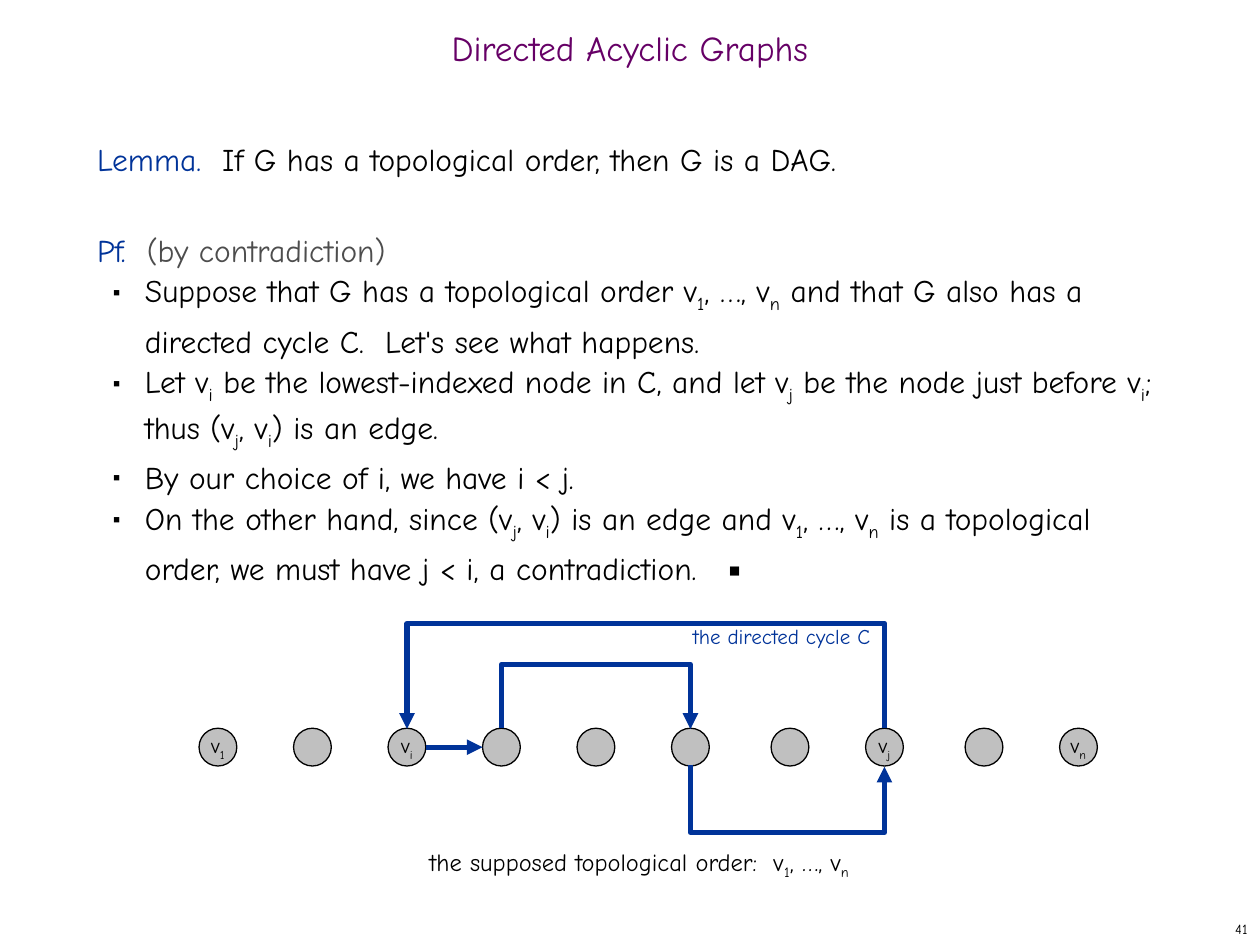
import dataclasses

import pptx
import pptx.dml.color
import pptx.enum.shapes
import pptx.enum.text
import pptx.oxml
import pptx.oxml.ns
import pptx.util

Inches = pptx.util.Inches
Pt = pptx.util.Pt
Color = pptx.dml.color.RGBColor.from_string
Align = pptx.enum.text.PP_ALIGN
Anchor = pptx.enum.text.MSO_ANCHOR
Connector = pptx.enum.shapes.MSO_CONNECTOR


@dataclasses.dataclass(frozen=True)
class Theme:
    font: str = "Comic Neue"
    title: str = "660066"
    accent: str = "003399"
    text: str = "000000"
    muted: str = "4D4D4D"
    node: str = "C0C0C0"
    title_size: int = 20
    body_size: int = 18
    caption_size: int = 14
    label_size: int = 12
    number_size: int = 8


theme = Theme()


def write(para, text, size=theme.body_size, color=theme.text):
    """Add text to a paragraph; the character after each _ is a subscript."""
    first, *rest = text.split("_")
    pieces = [(first, False)]
    for part in rest:
        pieces += [(part[0], True), (part[1:], False)]
    for words, subscript in pieces:
        if not words:
            continue
        span = para.add_run()
        span.text = words
        span.font.name = theme.font
        span.font.size = Pt(size)
        span.font.color.rgb = Color(color)
        if subscript:
            span.font._element.set("baseline", "-25000")


def add_xml(parent, tag, **attributes):
    child = pptx.oxml.parse_xml(f"<a:{tag} {pptx.oxml.ns.nsdecls('a')}/>")
    for name, value in attributes.items():
        child.set(name, str(value))
    parent.append(child)
    return child


deck = pptx.Presentation()
deck.slide_width, deck.slide_height = Inches(10), Inches(7.5)
page = deck.slides.add_slide(deck.slide_layouts[1])

# Title
title = page.shapes.title
title.left, title.top, title.width, title.height = (
    Inches(0), Inches(0.17), Inches(10), Inches(0.5))
title.text_frame.vertical_anchor = Anchor.MIDDLE
title.text_frame.auto_size = pptx.enum.text.MSO_AUTO_SIZE.NONE
para = title.text_frame.paragraphs[0]
para.alignment = Align.CENTER
para.line_spacing = 0.7
write(para, "Directed Acyclic Graphs", size=theme.title_size, color=theme.title)

# Lemma and proof: level, space before, coloured pieces
body = page.placeholders[1]
body.left, body.top, body.width, body.height = (
    Inches(0.67), Inches(1), Inches(8.58), Inches(5.92))
body.text_frame.auto_size = pptx.enum.text.MSO_AUTO_SIZE.NONE
proof = [
    (0, 0, [("Lemma.  ", theme.accent),
            ("If G has a topological order, then G is a DAG.", theme.text)]),
    (0, 26, [("Pf.  ", theme.accent), ("(by contradiction)", theme.muted)]),
]
steps = [
    "Suppose that G has a topological order v_1, …, v_n and that G also has a "
    "directed cycle C.  Let's see what happens.",
    "Let v_i be the lowest-indexed node in C, and let v_j be the node just "
    "before v_i; thus (v_j, v_i) is an edge.",
    "By our choice of i, we have i < j.",
    "On the other hand, since (v_j, v_i) is an edge and v_1, …, v_n is a "
    "topological order, we must have j < i, a contradiction.   ▪",
]
proof += [(1, 0, [(step, theme.text)]) for step in steps]
for index, (level, gap, pieces) in enumerate(proof):
    para = body.text_frame.paragraphs[0] if index == 0 else body.text_frame.add_paragraph()
    para.level = level
    para.line_spacing = Pt(26)
    para.space_before = Pt(gap)
    para.space_after = Pt(0)
    props = para._p.get_or_add_pPr()
    props.set("marL", str(Inches(0.38 * level)))
    props.set("indent", str(Inches(-0.25 * level)))
    if level:
        add_xml(add_xml(props, "buClr"), "srgbClr", val=theme.text)
        add_xml(props, "buSzPct", val=35000)
        add_xml(props, "buFont", typeface="Arial")
        add_xml(props, "buChar", char="■")
    else:
        add_xml(props, "buNone")
    for text, color in pieces:
        write(para, text, color=color)

# Nodes in topological order, slightly wider gaps after the sixth and eighth
node_size, node_top = 0.3, 5.78
node_bottom = node_top + node_size
node_middle = node_top + node_size / 2
labels = {0: "v_1", 2: "v_i", 7: "v_j", 9: "v_n"}
centers = []
for index in range(10):
    left = 1.58 + 0.75 * index + 0.04 * ((index >= 6) + (index >= 8))
    centers.append(left + node_size / 2)
    node = page.shapes.add_shape(
        pptx.enum.shapes.MSO_SHAPE.OVAL, Inches(left), Inches(node_top),
        Inches(node_size), Inches(node_size))
    node.shadow.inherit = False
    node.fill.solid()
    node.fill.fore_color.rgb = Color(theme.node)
    node.line.color.rgb = Color(theme.text)
    node.line.width = Pt(0.75)
    if index in labels:
        node.text_frame.word_wrap = False
        node.text_frame.vertical_anchor = Anchor.MIDDLE
        para = node.text_frame.paragraphs[0]
        para.alignment = Align.CENTER
        write(para, labels[index], size=theme.label_size)

# Cycle edges: one straight, three bent
edges = [page.shapes.add_connector(
    Connector.STRAIGHT,
    Inches(centers[2] + node_size / 2), Inches(node_middle),
    Inches(centers[3] - node_size / 2), Inches(node_middle))]
depth = 0.01
bends = [  # from node, to node, level of the ends, level of the crossbar
    (7, 2, node_top, 4.94),
    (3, 5, node_top, 5.27),
    (5, 7, node_bottom, 6.62),
]
for start, end, level, crossbar in bends:
    # A quarter turn stands the elbow upright; its bend is a share of its depth
    middle = (centers[start] + centers[end]) / 2
    half = abs(centers[end] - centers[start]) / 2
    rightward = end > start
    sides = [middle - depth / 2, middle + depth / 2]
    if rightward:
        sides.reverse()
    edge = page.shapes.add_connector(
        Connector.ELBOW, Inches(sides[0]), Inches(level - half),
        Inches(sides[1]), Inches(level + half))
    shape_props = edge._element.spPr
    shape_props.xfrm.set("rot", str((270 if rightward else 90) * 60000))
    guides = shape_props.prstGeom.get_or_add_avLst()
    bend = round((crossbar - level) / depth * 100000)
    add_xml(guides, "gd", name="adj1", fmla=f"val {bend}")
    edges.append(edge)
for edge in edges:
    edge.line.color.rgb = Color(theme.accent)
    edge.line.width = Pt(3)
    add_xml(edge.line._get_or_add_ln(), "tailEnd", type="triangle")
    add_xml(edge._element.spPr, "effectLst")

# Captions and page number
captions = [
    ("the supposed topological order:  v_1, …, v_n", (3.31, 6.67, 3.54, 0.37),
     theme.caption_size, theme.text, Align.LEFT, Anchor.TOP, False),
    ("the directed cycle C", (5.4, 4.9, 1.62, 0.3),
     theme.label_size, theme.accent, Align.LEFT, Anchor.TOP, False),
    ("41", (7.92, 7.25, 2.08, 0.25),
     theme.number_size, theme.text, Align.RIGHT, Anchor.MIDDLE, True),
]
for text, place, size, color, align, anchor, wrap in captions:
    box = page.shapes.add_textbox(*map(Inches, place))
    box.text_frame.word_wrap = wrap
    box.text_frame.vertical_anchor = anchor
    para = box.text_frame.paragraphs[0]
    para.alignment = align
    write(para, text, size=size, color=color)

deck.save("out.pptx")
